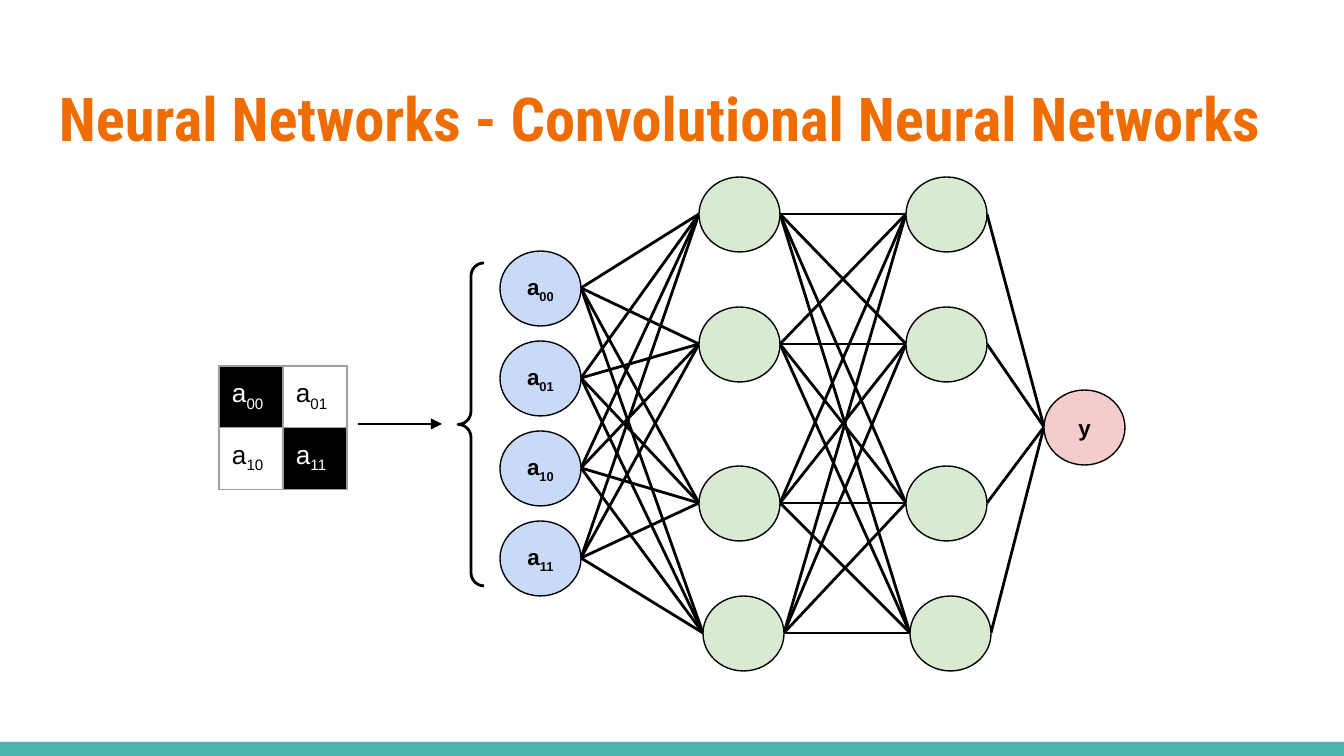
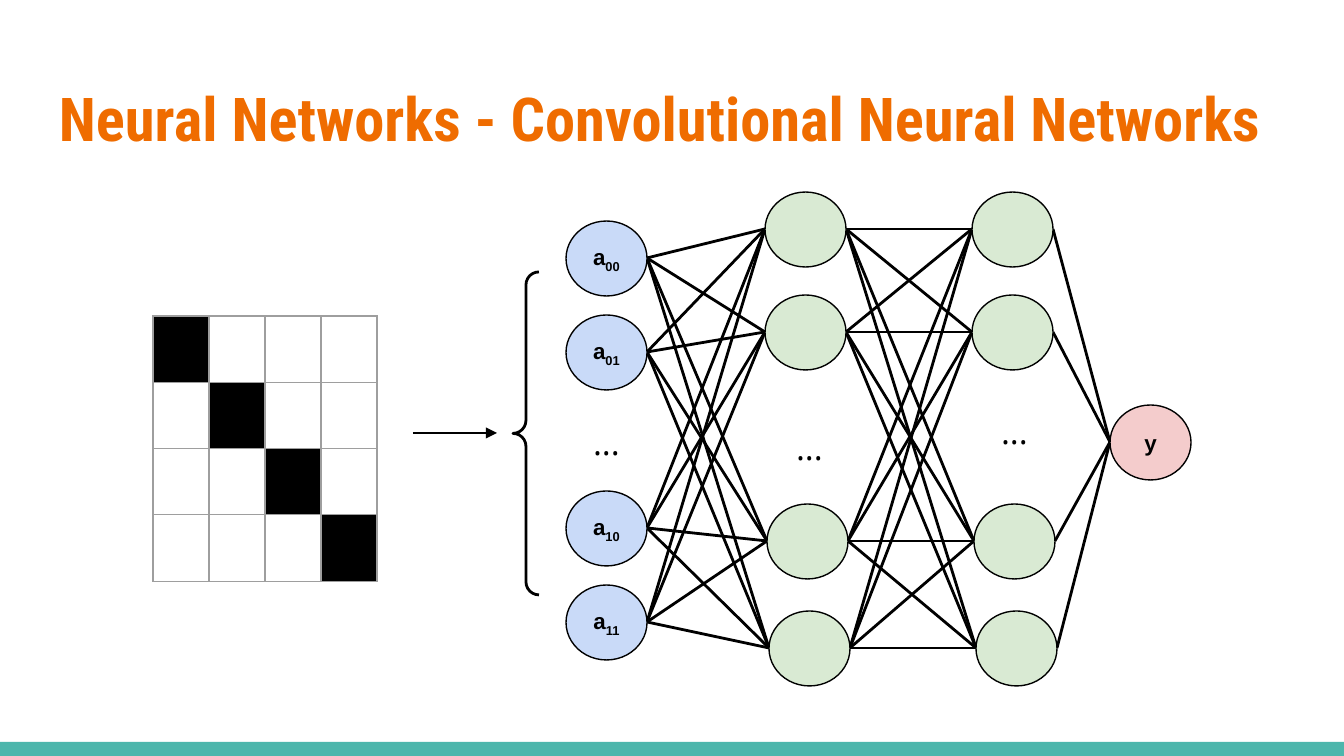
from dataclasses import dataclass
from itertools import product

from lxml import etree
from pptx import Presentation
from pptx.dml.color import RGBColor
from pptx.enum.shapes import MSO_CONNECTOR, MSO_SHAPE
from pptx.enum.text import MSO_ANCHOR, PP_ALIGN
from pptx.oxml.ns import qn
from pptx.util import Emu, Pt

STRAIGHT = MSO_CONNECTOR.STRAIGHT
ELLIPSE, BRACE, RECT = MSO_SHAPE.OVAL, MSO_SHAPE.LEFT_BRACE, MSO_SHAPE.RECTANGLE
LEFT, CENTER = PP_ALIGN.LEFT, PP_ALIGN.CENTER
TOP, MIDDLE = MSO_ANCHOR.TOP, MSO_ANCHOR.MIDDLE

EMU_PER_PX = 914400 / 134.4
SLIDE_W, SLIDE_H = 1344, 756
NODE_W, NODE_H = 81, 75
INSET = 13
TITLE = "Neural Networks - Convolutional Neural Networks"
PIXELS = ("00", "01", "10", "11")


@dataclass(frozen=True)
class Theme:
    title: str = "EF6C00"
    band: str = "4DB6AC"
    ink: str = "000000"
    paper: str = "FFFFFF"
    grid: str = "9E9E9E"
    input: str = "C9DAF8"
    hidden: str = "D9EAD3"
    output: str = "F4CCCC"
    title_font: str = "Roboto Condensed"
    body_font: str = "Arial"
    dots_font: str = "Open Sans"
    title_size: float = 32.4
    dots_size: float = 18
    pixel_size: float = 14
    node_size: float = 12
    edge: float = 1.5
    outline: float = 0.75


THEME = Theme()


def px(length):
    return Emu(round(length * EMU_PER_PX))


def rgb(color):
    return RGBColor.from_string(color)


# Text
def style(paragraph, font, size, color, bold=False, align=LEFT):
    paragraph.alignment = align
    paragraph.font.name = font
    paragraph.font.size = Pt(size)
    paragraph.font.bold = bold
    paragraph.font.color.rgb = rgb(color)


def write_label(paragraph, base, subscript=""):
    paragraph.add_run().text = base
    if subscript:
        index = paragraph.add_run()
        index.text = subscript
        index._r.get_or_add_rPr().set("baseline", "-25000")


def set_insets(frame):
    frame.margin_left = frame.margin_right = px(INSET)
    frame.margin_top = frame.margin_bottom = px(INSET)


def add_text(slide, box, text, anchor, **look):
    frame = slide.shapes.add_textbox(*map(px, box)).text_frame
    frame.word_wrap = True
    frame.vertical_anchor = anchor
    set_insets(frame)
    write_label(frame.paragraphs[0], text)
    style(frame.paragraphs[0], **look)


# Shapes and lines
def add_shape(slide, kind, box, fill=None, line_width=None):
    shape = slide.shapes.add_shape(kind, *map(px, box))
    shape.shadow.inherit = False
    if fill:
        shape.fill.solid()
        shape.fill.fore_color.rgb = rgb(fill)
    else:
        shape.fill.background()
    if line_width:
        shape.line.color.rgb = rgb(THEME.ink)
        shape.line.width = Pt(line_width)
    else:
        shape.line.fill.background()
    return shape


def add_line(slide, start, end, arrow=False):
    line = slide.shapes.add_connector(STRAIGHT, *map(px, (*start, *end)))
    line.line.color.rgb = rgb(THEME.ink)
    line.line.width = Pt(THEME.edge)
    if arrow:
        etree.SubElement(line.line._get_or_add_ln(), qn("a:tailEnd"), type="triangle")
    etree.SubElement(line._element.spPr, qn("a:effectLst"))


def add_node(slide, left, top, fill, base="", subscript=""):
    node = add_shape(slide, ELLIPSE, (left, top, NODE_W, NODE_H), fill, THEME.outline)
    if base:
        frame = node.text_frame
        frame.vertical_anchor = MIDDLE
        set_insets(frame)
        write_label(frame.paragraphs[0], base, subscript)
        style(frame.paragraphs[0], THEME.body_font, THEME.node_size, THEME.ink, True, CENTER)


# Title and footer band
def start_slide(deck):
    slide = deck.slides.add_slide(deck.slide_layouts[6])
    slide.background.fill.solid()
    slide.background.fill.fore_color.rgb = rgb(THEME.paper)
    add_shape(slide, RECT, (0, 742, SLIDE_W, SLIDE_H - 742), THEME.band)
    add_text(slide, (46, 66, 1253, 103), TITLE, MIDDLE, font=THEME.title_font,
             size=THEME.title_size, color=THEME.title, bold=True)
    return slide


# Pixel image with a black diagonal
def border_cell(cell):
    properties = cell._tc.get_or_add_tcPr()
    for side in ("lnL", "lnR", "lnT", "lnB"):
        border = etree.SubElement(properties, qn(f"a:{side}"), w=str(Pt(THEME.outline)))
        fill = etree.SubElement(border, qn("a:solidFill"))
        etree.SubElement(fill, qn("a:srgbClr"), val=THEME.grid)


def add_pixels(slide, left, top, count, col_w, row_h, labelled=False):
    box = (left, top, count * col_w, count * row_h)
    image = slide.shapes.add_table(count, count, *map(px, box)).table
    image.first_row = image.horz_banding = False
    for column, row in zip(image.columns, image.rows):
        column.width, row.height = px(col_w), px(row_h)
    for row, col in product(range(count), repeat=2):
        pixel = image.cell(row, col)
        set_insets(pixel)
        border_cell(pixel)
        if row == col:
            pixel.fill.solid()
            pixel.fill.fore_color.rgb = rgb(THEME.ink)
        else:
            pixel.fill.background()
        if labelled:
            label = pixel.text_frame.paragraphs[0]
            write_label(label, "a", f"{row}{col}")
            style(label, THEME.body_font, THEME.pixel_size,
                  THEME.paper if row == col else THEME.ink)


# Arrow and brace leading from the image to the input layer
def add_flattening(slide, left, middle):
    brace_h = 323
    add_line(slide, (left, middle), (left + 84, middle), arrow=True)
    brace = add_shape(slide, BRACE, (left + 100, middle - brace_h // 2, 26, brace_h),
                      line_width=THEME.edge)
    brace.adjustments[0] = brace.adjustments[1] = 0.5


# Fully connected network, placed from the left of its inputs and its top
def add_network(slide, left, top, input_tops, hidden_tops, hidden_shifts, dots=()):
    inputs = [(left, top + y) for y in input_tops]
    first, second = ([(left + x + shift, top + y)
                      for shift, y in zip(hidden_shifts, hidden_tops)]
                     for x in (199, 406))
    output = (left + 544, top + 213)
    layers = (inputs, first, second, [output])

    for sources, targets in zip(layers, layers[1:]):
        for (x1, y1), (x2, y2) in product(sources, targets):
            add_line(slide, (x1 + NODE_W, y1 + NODE_H // 2), (x2, y2 + NODE_H // 2))

    for place, pixel in zip(inputs, PIXELS):
        add_node(slide, *place, THEME.input, "a", pixel)
    for place in first + second:
        add_node(slide, *place, THEME.hidden)
    add_node(slide, *output, THEME.output, "y")

    for x, y in dots:
        add_text(slide, (left + x, top + y, 65, 67), "...", TOP, font=THEME.dots_font,
                 size=THEME.dots_size, color=THEME.ink, align=CENTER)


def build_small_image_slide(deck):
    slide = start_slide(deck)
    add_pixels(slide, 219, 366, count=2, col_w=64, row_h=57, labelled=True)
    add_flattening(slide, 358, 424)
    add_network(slide, 500, 177, input_tops=range(74, 345, 90),
                hidden_tops=(0, 130, 289, 419), hidden_shifts=(0, 0, 0, 4))


def build_large_image_slide(deck):
    slide = start_slide(deck)
    add_pixels(slide, 153, 316, count=4, col_w=56, row_h=56)
    add_flattening(slide, 413, 433)
    add_network(slide, 566, 192, input_tops=(29, 123, 299, 393),
                hidden_tops=(0, 103, 312, 419), hidden_shifts=(0, 0, 2, 4),
                dots=((8, 217), (211, 222), (416, 206)))


def main():
    deck = Presentation()
    deck.slide_width, deck.slide_height = px(SLIDE_W), px(SLIDE_H)
    build_small_image_slide(deck)
    build_large_image_slide(deck)
    deck.save("out.pptx")


if __name__ == "__main__":
    main()
